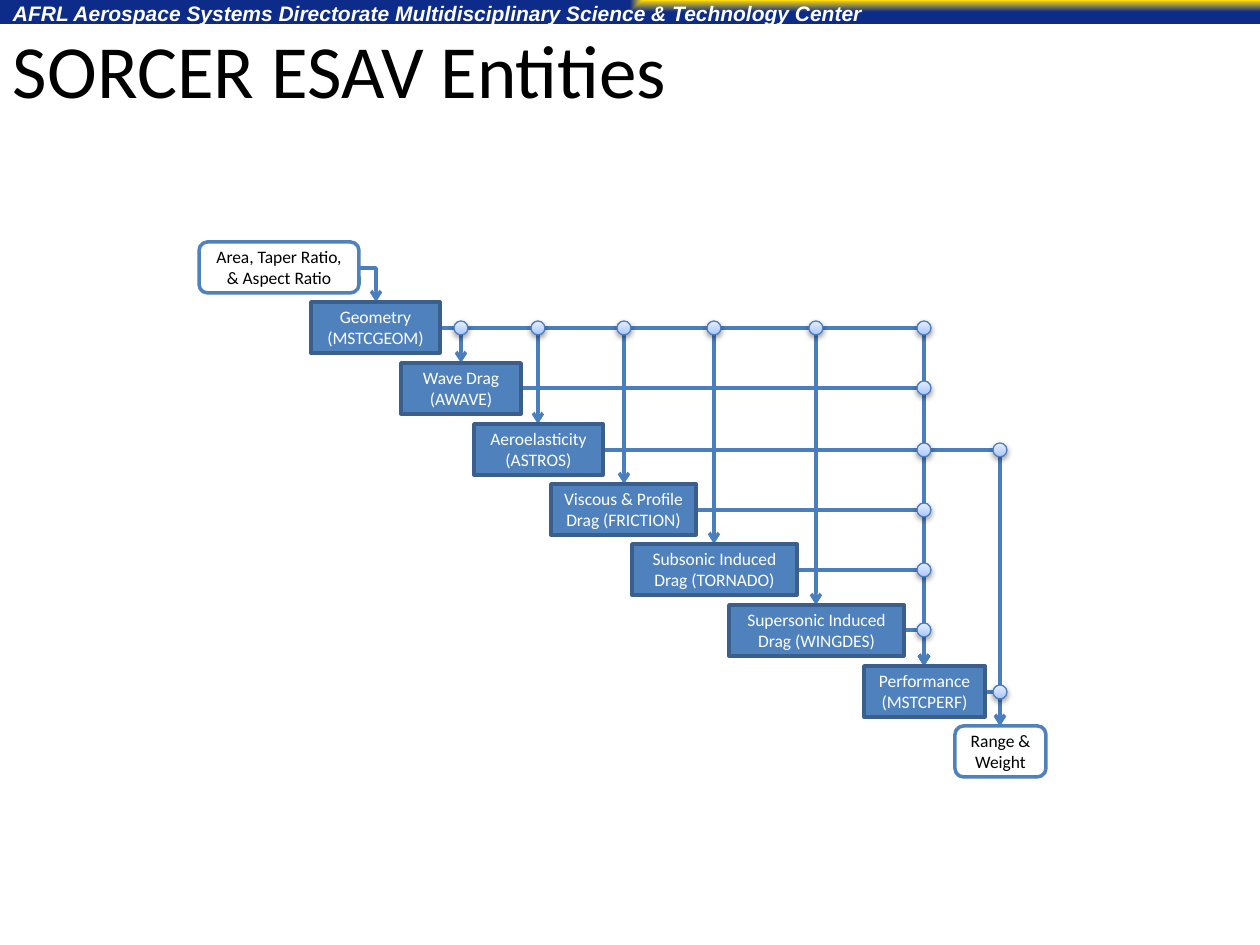
from typing import NamedTuple

from pptx import Presentation
from pptx.dml.color import RGBColor
from pptx.enum.shapes import MSO_CONNECTOR as Conn, MSO_SHAPE as Kind
from pptx.enum.text import MSO_ANCHOR as Anchor, MSO_AUTO_SIZE as Fit, PP_ALIGN as Align
from pptx.oxml import parse_xml
from pptx.oxml.ns import nsdecls, qn
from pptx.util import Pt

SCALE = 914400 / 126  # EMU in one px
STEP, HIGH = 60.5, 51  # pitch of the stairs, height of a box
BLUE, EDGE, WIRE = "4F81BD", "3A5F8C", "4B7EBC"
DOT = 14


class Box(NamedTuple):
    row: int
    left: int
    width: int
    text: str
    end: bool = False

    @property
    def top(self) -> int:
        return round(242 + STEP * self.row)

    @property
    def mid(self) -> int:
        return round(self.top + HIGH / 2)

    @property
    def axis(self) -> int:
        return round(self.left + self.width / 2)


BOXES = [
    Box(0, 199, 160, "Area, Taper Ratio,\n& Aspect Ratio", True),
    Box(1, 311, 129, "Geometry\n(MSTCGEOM)"),
    Box(2, 401, 120, "Wave Drag\n(AWAVE)"),
    Box(3, 474, 129, "Aeroelasticity (ASTROS)"),
    Box(4, 551, 145, "Viscous & Profile Drag (FRICTION)"),
    Box(5, 632, 165, "Subsonic Induced Drag (TORNADO)"),
    Box(6, 729, 175, "Supersonic Induced Drag (WINGDES)"),
    Box(7, 864, 121, "Performance (MSTCPERF)"),
    Box(8, 955, 91, "Range & Weight", True),
]

# Geometry feeds every later box; the analyses feed Performance
LINKS = [(1, j) for j in range(2, 8)] + [(i, 7) for i in range(2, 7)] + [(3, 8), (7, 8)]


def px(*vals: int) -> list[int]:
    return [round(v * SCALE) for v in vals]


def tint(code: str) -> RGBColor:
    return RGBColor.from_string(code)


def write(shape, text: str, size: float, color: str, font: str = "Calibri",
          align=Align.LEFT, anchor=Anchor.MIDDLE, pad: tuple = (13, 6),
          bold: bool = False, slant: bool = False, space: float = 1.0) -> None:
    frame = shape.text_frame
    frame.word_wrap, frame.auto_size = True, Fit.NONE
    frame.vertical_anchor = anchor
    frame.margin_left = frame.margin_right = px(pad[0])[0]
    frame.margin_top = frame.margin_bottom = px(pad[1])[0]
    frame.text = text
    for para in frame.paragraphs:
        para.alignment, para.line_spacing = align, space
        face = para.font
        face.name, face.size = font, Pt(size)
        face.bold, face.italic = bold, slant
        face.color.rgb = tint(color)


def blend(shape, stops: list, way: str) -> None:
    """Fill a shape with a gradient; way is the XML of its direction."""
    marks = "".join(f'<a:gs pos="{pos * 1000}"><a:srgbClr val="{code}"/></a:gs>'
                    for pos, code in stops)
    grad = parse_xml(f'<a:gradFill {nsdecls("a")} rotWithShape="1">'
                     f'<a:gsLst>{marks}</a:gsLst>{way}</a:gradFill>')
    shape._element.spPr.find(qn("a:prstGeom")).addnext(grad)


def form(kind, left: int, top: int, width: int, high: int):
    shape = slide.shapes.add_shape(kind, *px(left, top, width, high))
    shape.shadow.inherit = False
    return shape


def draw_box(box: Box) -> None:
    kind = Kind.ROUNDED_RECTANGLE if box.end else Kind.RECTANGLE
    shape = form(kind, box.left, box.top, box.width, HIGH)
    shape.fill.solid()
    shape.fill.fore_color.rgb = tint("FFFFFF" if box.end else BLUE)
    shape.line.color.rgb = tint(BLUE if box.end else EDGE)
    shape.line.width = Pt(2)
    write(shape, box.text, 10, "000000" if box.end else "FFFFFF",
          align=Align.CENTER, pad=(6, 0))


def draw_link(src: Box, dst: Box) -> None:
    wire = slide.shapes.add_connector(
        Conn.ELBOW, *px(src.left + src.width, src.mid, dst.axis, dst.top))
    wire.line.color.rgb = tint(WIRE)
    wire.line.width = Pt(2)
    props = wire._element.spPr
    props.find(qn("a:prstGeom")).set("prst", "bentConnector2")
    props.find(qn("a:ln")).append(parse_xml(f'<a:tailEnd {nsdecls("a")} type="arrow"/>'))
    props.append(parse_xml(f'<a:effectLst {nsdecls("a")}/>'))


def draw_dot(src: Box, dst: Box) -> None:
    dot = form(Kind.OVAL, dst.axis - DOT // 2, src.mid - DOT // 2, DOT, DOT)
    blend(dot, [(0, "A4C4FF"), (35, "BFD4FF"), (100, "E6EEFF")],
          '<a:lin ang="16200000" scaled="1"/>')
    dot.line.color.rgb = tint(WIRE)
    dot.line.width = Pt(0.75)
    dot._element.spPr.find(qn("a:effectLst")).append(parse_xml(
        f'<a:outerShdw {nsdecls("a")} blurRad="40000" dist="20000" dir="5400000" '
        'rotWithShape="0"><a:srgbClr val="000000"><a:alpha val="38000"/>'
        '</a:srgbClr></a:outerShdw>'))


deck = Presentation()
deck.slide_width, deck.slide_height = px(1260, 945)
slide = deck.slides.add_slide(deck.slide_layouts[5])

# Header band
band = form(Kind.RECTANGLE, 0, 0, 1260, 24)
blend(band, [(0, "FED910"), (100, "0D2B88")],
      '<a:path path="rect"><a:fillToRect l="100000" b="100000"/></a:path>'
      '<a:tileRect t="-100000" r="-100000"/>')
band.line.fill.background()
head = slide.shapes.add_textbox(*px(0, -1, 882, 33))
write(head, "AFRL Aerospace Systems Directorate Multidisciplinary Science & Technology Center",
      12, "FFFFFF", font="Arial", anchor=Anchor.TOP, bold=True, slant=True, space=0.8)

# Title
title = slide.shapes.title
title.left, title.top, title.width, title.height = px(0, 0, 1260, 136)
write(title, "SORCER ESAV Entities", 42.9, "000000")

# Links, then joints, then boxes on top
for i, j in [(0, 1)] + LINKS:
    draw_link(BOXES[i], BOXES[j])
for i, j in LINKS:
    draw_dot(BOXES[i], BOXES[j])
for box in BOXES:
    draw_box(box)

deck.save("out.pptx")
